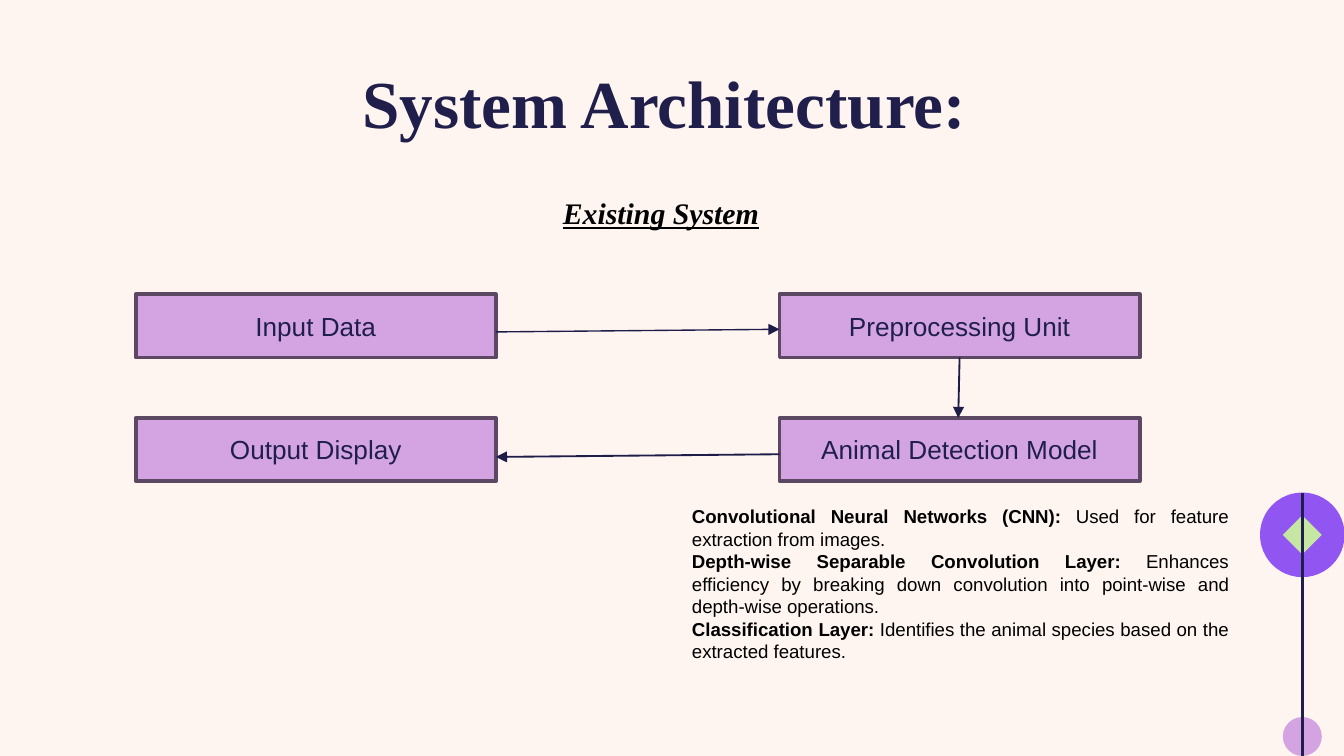
from lxml.etree import SubElement
from pptx import Presentation
from pptx.dml.color import RGBColor
from pptx.enum.shapes import MSO_CONNECTOR, MSO_SHAPE
from pptx.enum.text import MSO_ANCHOR, MSO_AUTO_SIZE, PP_ALIGN
from pptx.oxml.ns import qn
from pptx.util import Inches, Pt

NAVY, INK, LILAC, BLACK = "201F4B", "1E1D4A", "D4A4E2", "000000"

# Slide of 16:9
SLIDE_W = 10
SLIDE_H = SLIDE_W * 9 / 16

# Flow grid
COLUMNS = (1.01, 5.8)
ROWS = (2.19, 3.11)
BOX_W, BOX_H = 2.68, 0.47

STEPS = (
    ("Input Data", 0, 0),
    ("Preprocessing Unit", 1, 0),
    ("Animal Detection Model", 1, 1),
    ("Output Display", 0, 1),
)
LAYERS = (
    ("Convolutional Neural Networks (CNN):",
     " Used for feature extraction from images."),
    ("Depth-wise Separable Convolution Layer:",
     " Enhances efficiency by breaking down convolution into point-wise"
     " and depth-wise operations."),
    ("Classification Layer:",
     " Identifies the animal species based on the extracted features."),
)


def color(hex_value):
    return RGBColor.from_string(hex_value)


def format_run(run, font, size, hex_value, bold=False):
    run.font.name = font
    run.font.size = Pt(size)
    run.font.color.rgb = color(hex_value)
    run.font.bold = bold


def add_figure(slide, kind, left, top, width, height, fill, outline=None):
    figure = slide.shapes.add_shape(
        kind, Inches(left), Inches(top), Inches(width), Inches(height))
    figure.shadow.inherit = False
    figure.fill.solid()
    figure.fill.fore_color.rgb = color(fill)
    if outline:
        figure.line.color.rgb = color(outline)
        figure.line.width = Pt(2)
    else:
        figure.line.fill.background()
    return figure


def add_line(slide, start, end, hex_value, width, arrow=False):
    line = slide.shapes.add_connector(
        MSO_CONNECTOR.STRAIGHT, *map(Inches, (*start, *end)))
    line.line.color.rgb = color(hex_value)
    line.line.width = Pt(width)
    properties = line._element.spPr
    if arrow:
        SubElement(properties.find(qn("a:ln")), qn("a:tailEnd"), type="triangle")
    SubElement(properties, qn("a:effectLst"))


def add_text_frame(slide, left, top, width, height):
    box = slide.shapes.add_textbox(
        Inches(left), Inches(top), Inches(width), Inches(height))
    box.text_frame.word_wrap = True
    return box.text_frame


def add_ornament(slide):
    center = 9.69
    for kind, middle, size, fill in (
        (MSO_SHAPE.OVAL, 3.98, 0.63, "9156F1"),
        (MSO_SHAPE.DIAMOND, 3.98, 0.29, "C6E6A3"),
        (MSO_SHAPE.OVAL, 5.48, 0.29, LILAC),
    ):
        add_figure(slide, kind, center - size / 2, middle - size / 2,
                   size, size, fill)
    add_line(slide, (center, 3.67), (center, SLIDE_H), NAVY, 1.5)


def set_title(slide):
    title = slide.shapes.title
    title.left, title.top = Inches(0.79), Inches(0.36)
    title.width, title.height = Inches(8.43), Inches(0.63)
    frame = title.text_frame
    frame.text = "System Architecture: "
    frame.auto_size = MSO_AUTO_SIZE.NONE
    frame.vertical_anchor = MSO_ANCHOR.TOP
    frame.margin_top = frame.margin_bottom = Inches(0.1)
    frame.paragraphs[0].alignment = PP_ALIGN.CENTER
    format_run(frame.paragraphs[0].runs[0], "Times New Roman", 36, NAVY, True)


def add_subtitle(slide):
    frame = add_text_frame(slide, 4.09, 1.4, 1.83, 0.37)
    frame.text = "Existing System"
    run = frame.paragraphs[0].runs[0]
    format_run(run, "Times New Roman", 16, BLACK, True)
    run.font.italic = run.font.underline = True


def add_step(slide, label, column, row):
    step = add_figure(slide, MSO_SHAPE.RECTANGLE, COLUMNS[column], ROWS[row],
                      BOX_W, BOX_H, LILAC, "5D4863")
    frame = step.text_frame
    frame.text = label
    frame.vertical_anchor = MSO_ANCHOR.MIDDLE
    frame.paragraphs[0].alignment = PP_ALIGN.CENTER
    format_run(frame.paragraphs[0].runs[0], "Arial", 14, NAVY)


def add_arrows(slide):
    left_edge, right_edge = COLUMNS[0] + BOX_W, COLUMNS[1]
    middle = right_edge + BOX_W / 2
    for start, end, width in (
        ((middle, ROWS[0] + BOX_H), (middle - 0.01, ROWS[1]), 1),
        ((left_edge, 2.47), (right_edge, 2.45), 0.75),
        ((right_edge, 3.38), (left_edge, 3.4), 1),
    ):
        add_line(slide, start, end, INK, width, arrow=True)


def add_layer_notes(slide):
    frame = add_text_frame(slide, 5.05, 3.71, 4.19, 1.28)
    for index, parts in enumerate(LAYERS):
        paragraph = frame.add_paragraph() if index else frame.paragraphs[0]
        paragraph.alignment = PP_ALIGN.JUSTIFY
        for text, bold in zip(parts, (True, False)):
            run = paragraph.add_run()
            run.text = text
            format_run(run, "Arial", 10, BLACK, bold)


def main():
    deck = Presentation()
    deck.slide_width, deck.slide_height = Inches(SLIDE_W), Inches(SLIDE_H)
    slide = deck.slides.add_slide(deck.slide_layouts[5])
    slide.background.fill.solid()
    slide.background.fill.fore_color.rgb = color("FEF5F0")

    # Decoration and headings
    add_ornament(slide)
    set_title(slide)

    # Flow of the system
    for step in STEPS:
        add_step(slide, *step)
    add_arrows(slide)

    # Layers of the detection model
    add_layer_notes(slide)
    add_subtitle(slide)
    deck.save("out.pptx")


if __name__ == "__main__":
    main()
